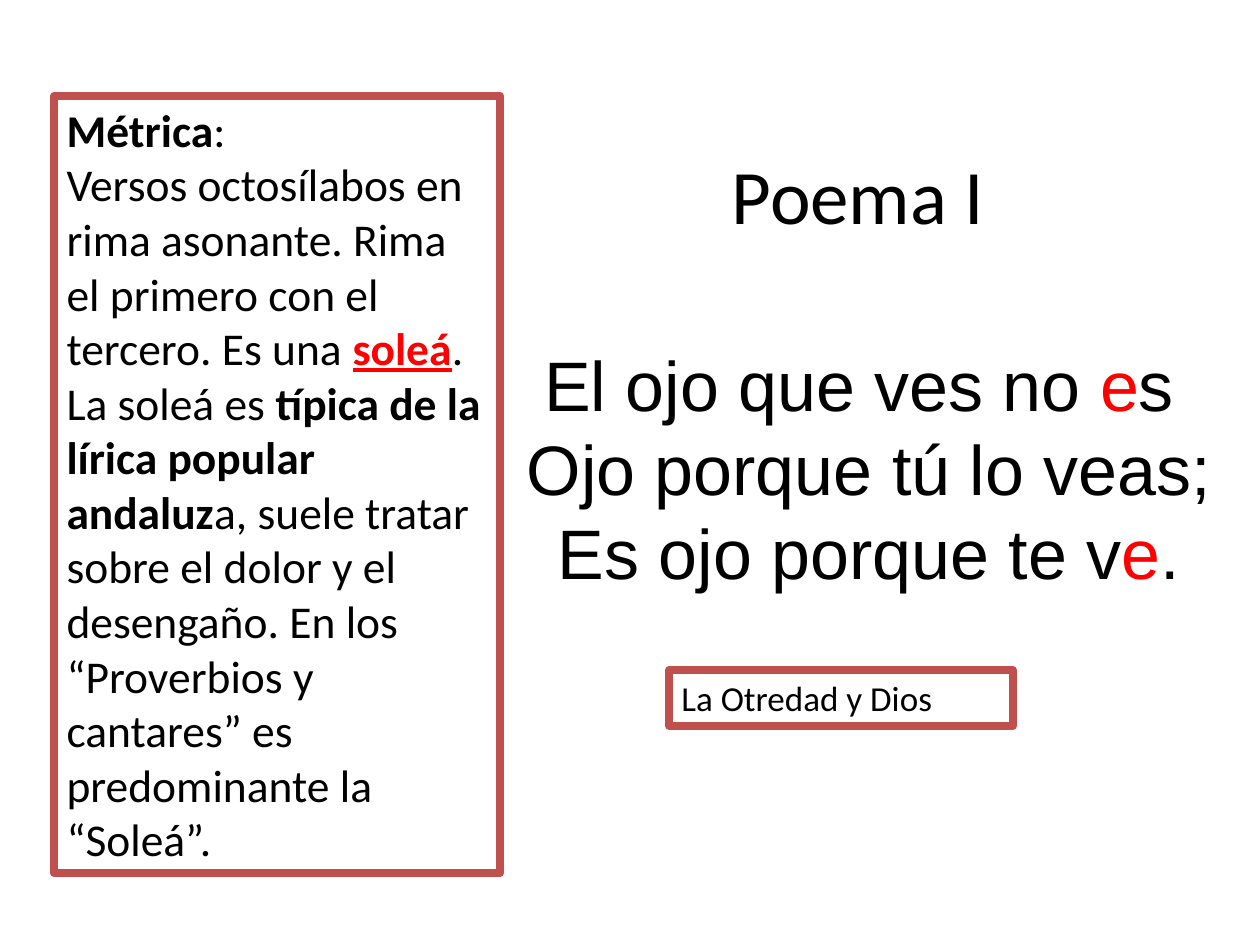
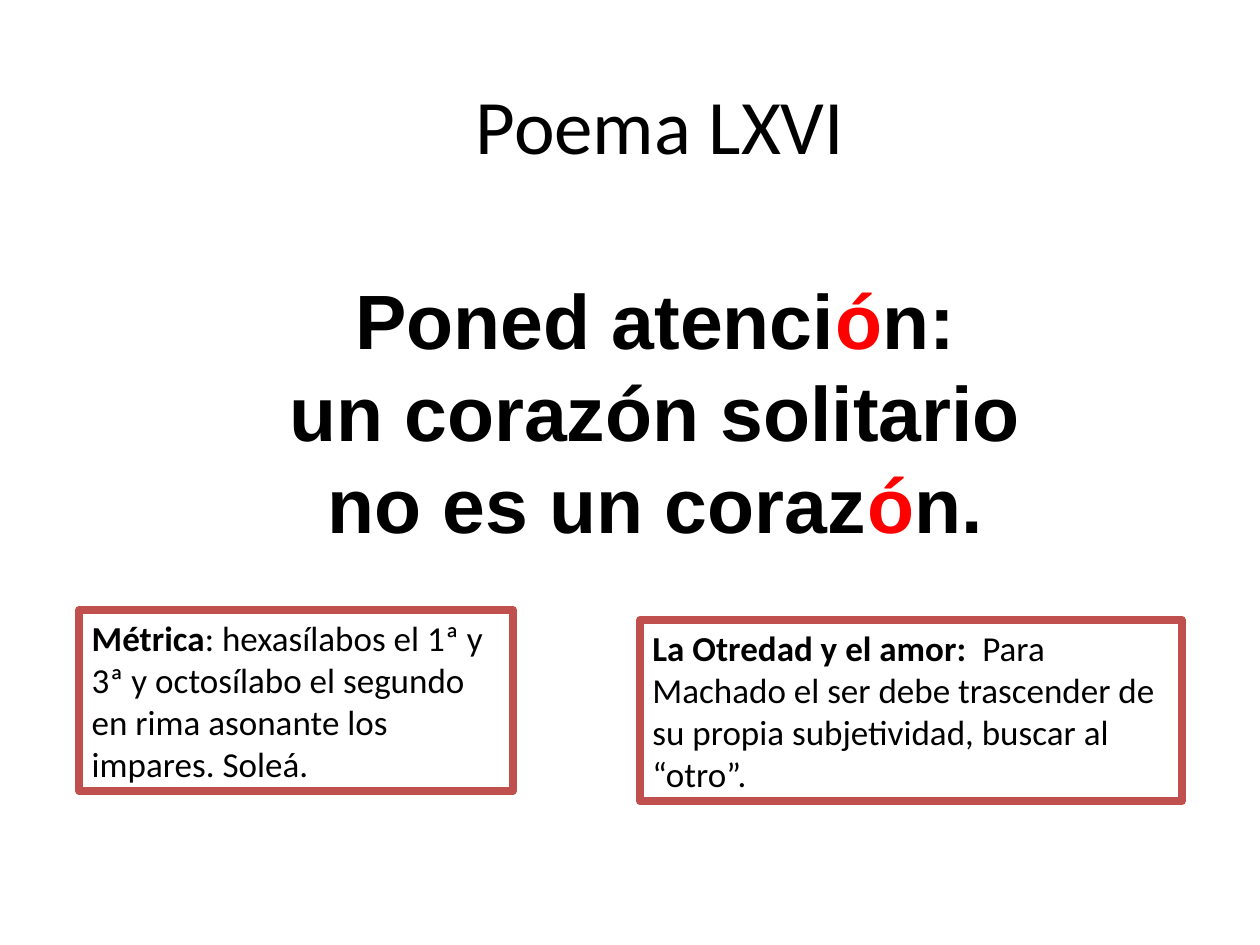
from pptx import Presentation, util as u
from pptx.dml.color import RGBColor
from pptx.enum import shapes, text

BLACK, WHITE, RED, BRICK = "000000", "FFFFFF", "FF0000", "C0504D"
BOLD = {"bold": True}
RHYME = {"color": RED}
KEYWORD = {"bold": True, "underline": True, "color": RED}


def rgb(value):
    """Turn a hex string into a colour."""
    return RGBColor.from_string(value)


class PoemDeck:
    """Hold the shared style and the current slide."""

    def __init__(self):
        """Start an empty 10 by 7.5 inch presentation."""
        self.deck = Presentation()
        self.deck.slide_width, self.deck.slide_height = u.Inches(10), u.Inches(7.5)
        self.slide = None

    def new_slide(self):
        """Add a blank slide and make it current."""
        self.slide = self.deck.slides.add_slide(self.deck.slide_layouts[6])

    def fill_text(self, frame, paragraphs, align, anchor, **base):
        """Fill a frame with paragraphs made of (words, format) runs."""
        settings = {"word_wrap": True, "vertical_anchor": anchor,
                    "auto_size": text.MSO_AUTO_SIZE.SHAPE_TO_FIT_TEXT}
        for name, value in settings.items():
            setattr(frame, name, value)
        for index, runs in enumerate(paragraphs):
            paragraph = frame.add_paragraph() if index else frame.paragraphs[0]
            paragraph.alignment = align
            for words, extra in runs:
                run = paragraph.add_run()
                run.text = words
                style = {"color": BLACK, **base, **extra}
                run.font.color.rgb = rgb(style.pop("color"))
                for name, value in style.items():
                    setattr(run.font, name, value)

    def centred(self, box, paragraphs, **base):
        """Add centred text without a frame."""
        words = self.slide.shapes.add_textbox(*map(u.Inches, box))
        self.fill_text(words.text_frame, paragraphs, text.PP_ALIGN.CENTER,
                       text.MSO_ANCHOR.MIDDLE, **base)
        return words

    def title(self, left, top, words):
        """Add the poem's title."""
        heading = self.centred((left, top, 4.88, 1.25), [[(words, {})]],
                               name="Calibri", size=u.Pt(44))
        heading.text_frame.auto_size = text.MSO_AUTO_SIZE.NONE

    def verses(self, box, lines, size, bold=False):
        """Add the poem, one verse a paragraph."""
        self.centred(box, lines, name="Arial", size=u.Pt(size), bold=bold)

    def note(self, box, paragraphs, size=20):
        """Add a commentary framed in brick red."""
        panel = self.slide.shapes.add_shape(
            shapes.MSO_SHAPE.RECTANGLE, *map(u.Inches, box))
        panel.shadow.inherit = False
        panel.fill.solid()
        panel.fill.fore_color.rgb = rgb(WHITE)
        panel.line.color.rgb = rgb(BRICK)
        panel.line.width = u.Pt(4.5)
        self.fill_text(panel.text_frame, paragraphs, text.PP_ALIGN.LEFT,
                       text.MSO_ANCHOR.TOP, name="Calibri", size=u.Pt(size))


def poem_one(deck):
    """Build the slide on poem I."""
    deck.new_slide()
    deck.title(4.37, 0.91, "Poema I")
    deck.note((0.43, 0.76, 3.54, 6.17), [
        [("Métrica", BOLD), (":", {})],
        [("Versos octosílabos en rima asonante. Rima el primero con el tercero. Es una ", {}),
         ("soleá", KEYWORD),
         (". La soleá es ", {}),
         ("típica de la lírica popular andaluz", BOLD),
         ("a, suele tratar sobre el dolor y el desengaño. En los “Proverbios y "
          "cantares” es predominante la “Soleá”.", {})],
    ], size=26)
    deck.verses((3.98, 2.66, 5.83, 2.1), [
        [("El ojo que ves no ", {}), ("e", RHYME), ("s ", {})],
        [("Ojo porque tú lo veas;", {})],
        [("Es ojo porque te v", {}), ("e", RHYME), (".", {})],
    ], size=40)
    deck.note((5.31, 5.32, 2.73, 0.44), [[("La Otredad y Dios", {})]])


def poem_sixty_six(deck):
    """Build the slide on poem LXVI."""
    deck.new_slide()
    deck.title(2.8, 0.36, "Poema LXVI")
    deck.note((0.63, 4.84, 3.44, 1.44), [
        [("Métrica", BOLD),
         (": hexasílabos el 1ª y 3ª y octosílabo el segundo en rima asonante "
          "los impares. Soleá.", {})],
    ])
    deck.verses((0.75, 2.11, 8.9, 2.3), [
        [("Poned atenci", {}), ("ó", RHYME), ("n:", {})],
        [("un corazón solitario", {})],
        [("no es un coraz", {}), ("ó", RHYME), ("n.", {})],
    ], size=44, bold=True)
    deck.note((5.08, 4.92, 4.3, 1.44), [
        [("La Otredad y el amor: ", BOLD),
         (" Para Machado el ser debe trascender de su propia subjetividad, "
          "buscar al “otro”.", {})],
    ])


def main():
    """Build and save both slides."""
    poems = PoemDeck()
    poem_one(poems)
    poem_sixty_six(poems)
    poems.deck.save("out.pptx")


if __name__ == "__main__":
    main()
